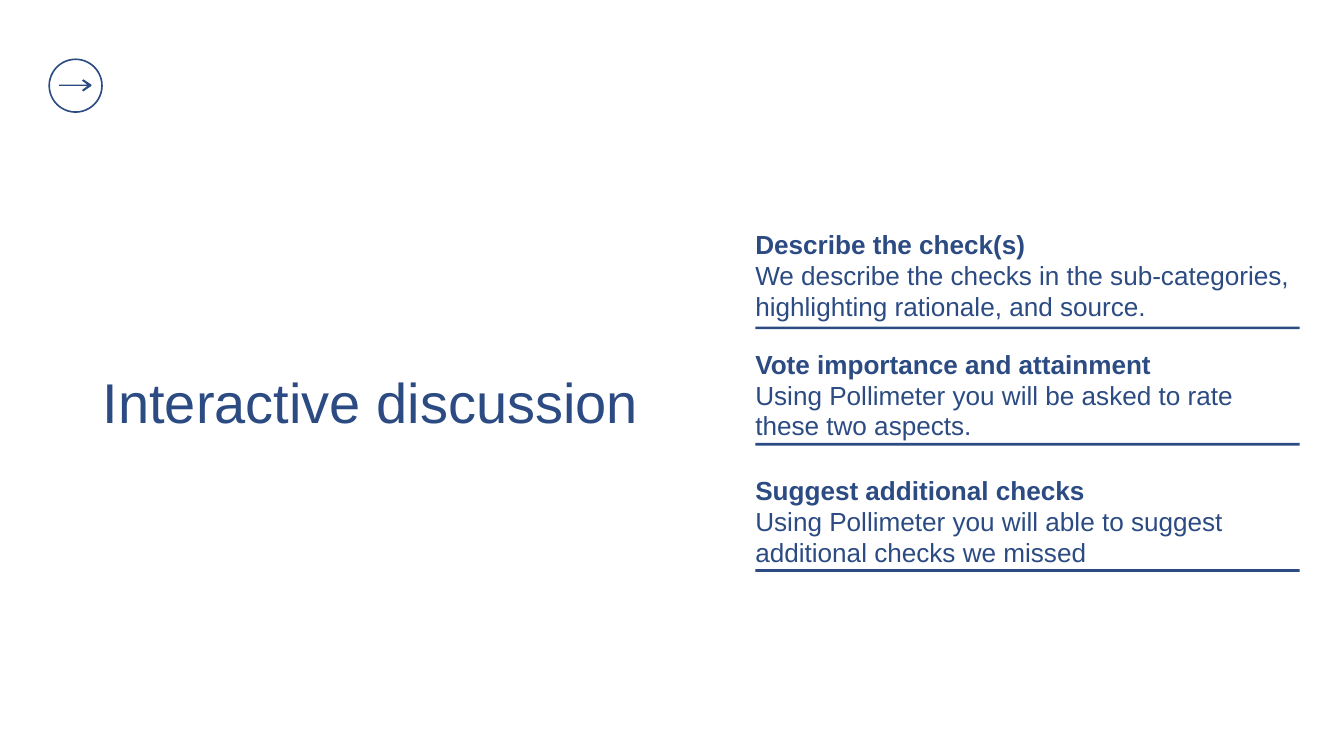
from dataclasses import dataclass

from pptx import Presentation
from pptx.dml.color import RGBColor
from pptx.enum.shapes import MSO_SHAPE
from pptx.enum.text import MSO_ANCHOR, MSO_AUTO_SIZE, PP_ALIGN
from pptx.util import Pt

PX = 9144  # EMU per px, 100 px to the inch
RECT, DONUT = MSO_SHAPE.RECTANGLE, MSO_SHAPE.DONUT
TOP, LEFT, NO_FIT = MSO_ANCHOR.TOP, PP_ALIGN.LEFT, MSO_AUTO_SIZE.NONE
TITLE_ONLY = 5


@dataclass(frozen=True)
class Theme:
    navy: RGBColor = RGBColor(0x2B, 0x4B, 0x82)
    font: str = "Arial"
    title: int = 60
    text: int = 28


THEME = Theme()

# heading, description, top of the step, distance from there to its rule
STEPS = [
    ("Describe the check(s)",
     "We describe the checks in the sub-categories, highlighting rationale, and source.",
     338, 148),
    ("Vote importance and attainment",
     "Using Pollimeter you will be asked to rate these two aspects.",
     516, 143),
    ("Suggest additional checks",
     "Using Pollimeter you will able to suggest additional checks we missed",
     704, 143),
]


def px(*values):
    return [v * PX for v in values]


def paint(shape):
    shape.shadow.inherit = False
    shape.fill.solid()
    shape.fill.fore_color.rgb = THEME.navy
    shape.line.fill.background()


def write(shape, text, size, bold=False, spacing=1.0):
    tf = shape.text_frame
    frame_format = dict(margin_left=0, margin_top=0, margin_right=0, margin_bottom=0,
                        word_wrap=True, auto_size=NO_FIT, vertical_anchor=TOP)
    for name, value in frame_format.items():
        setattr(tf, name, value)
    p = tf.paragraphs[0]
    p.alignment, p.line_spacing = LEFT, spacing
    r = p.add_run()
    r.text = text
    for name, value in dict(name=THEME.font, size=Pt(size), bold=bold).items():
        setattr(r.font, name, value)
    r.font.color.rgb = THEME.navy


def add_title(s, x, y, w, h):
    title = s.shapes.title
    title.left, title.top, title.width, title.height = px(x, y, w, h)
    write(title, "Interactive discussion", THEME.title)


def add_arrow_icon(s, x, y, size):
    """Draw a thin ring with a right-pointing arrow in its middle."""
    ring = s.shapes.add_shape(DONUT, *px(x, y, size, size))
    ring.adjustments[0] = 0.03
    paint(ring)

    # Upper half of the arrow, measured from the ring's centre; the lower half mirrors it
    upper = [(-25, -1), (18, -1), (10, -7), (12, -9), (24, -1)]
    outline = upper + [(dx, -dy) for dx, dy in reversed(upper)]
    cx, cy = x + size / 2, y + size / 2
    points = [(cx + dx, cy + dy) for dx, dy in outline]
    builder = s.shapes.build_freeform(*points[0], scale=PX)
    builder.add_line_segments(points[1:], close=True)
    paint(builder.convert_to_shape())


def add_step(s, x, y, w, heading, description, rule_offset):
    rule = s.shapes.add_shape(RECT, *px(x, y + rule_offset, w, 4))
    paint(rule)
    write(s.shapes.add_textbox(*px(x, y + 51, w, 76)), description, THEME.text, spacing=0.97)
    write(s.shapes.add_textbox(*px(x, y, w, 41)), heading, THEME.text, True, 1.05)


def main():
    prs = Presentation()
    prs.slide_width, prs.slide_height = px(2000, 1125)
    s = prs.slides.add_slide(prs.slide_layouts[TITLE_ONLY])
    add_arrow_icon(s, 72, 87, 81)
    add_title(s, 153, 547, 911, 84)
    for heading, description, top, rule_offset in STEPS:
        add_step(s, 1124, top, 810, heading, description, rule_offset)
    prs.save("out.pptx")


if __name__ == "__main__":
    main()
